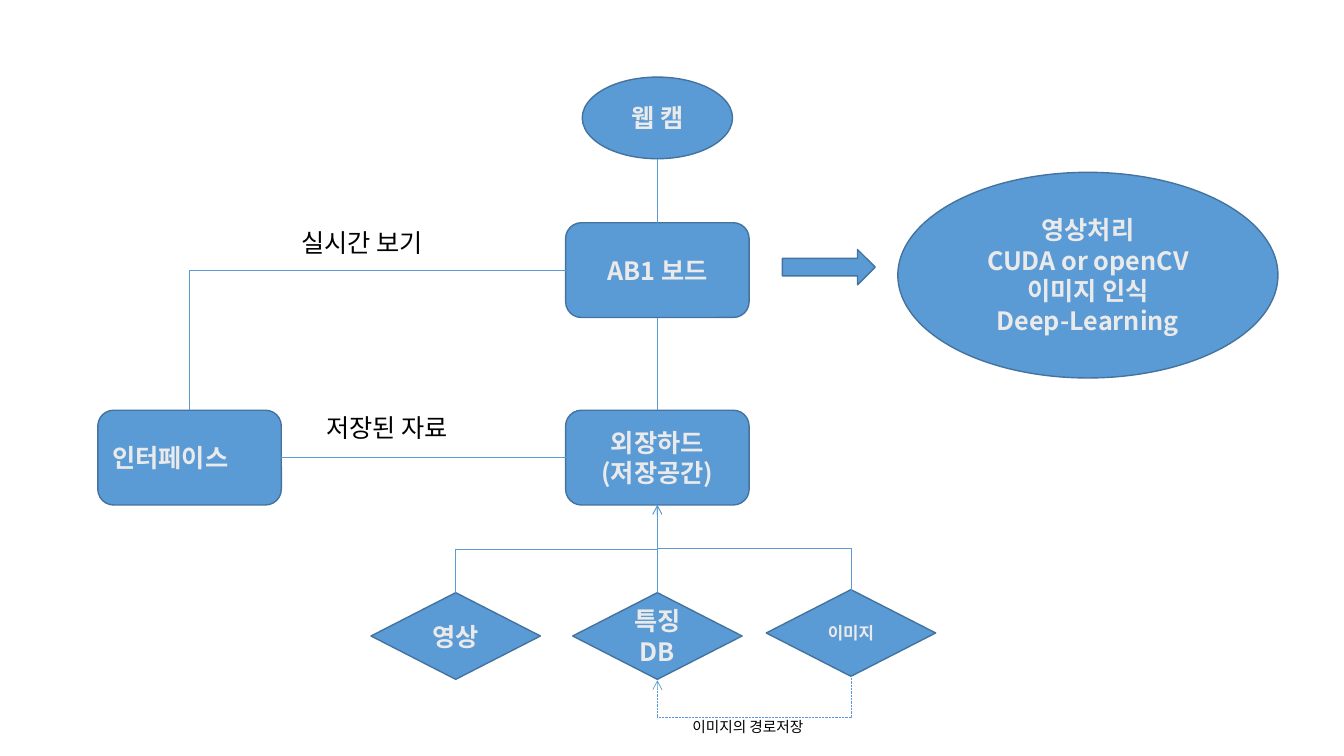
from lxml import etree
from pptx import Presentation
from pptx.dml.color import RGBColor
from pptx.enum.dml import MSO_LINE
from pptx.enum.shapes import MSO_CONNECTOR, MSO_SHAPE
from pptx.enum.text import MSO_ANCHOR, PP_ALIGN
from pptx.oxml.ns import qn
from pptx.util import Inches, Pt

STRAIGHT, ELBOW = MSO_CONNECTOR.STRAIGHT, MSO_CONNECTOR.ELBOW
ROUNDED, ELLIPSE = MSO_SHAPE.ROUNDED_RECTANGLE, MSO_SHAPE.OVAL
DECISION, ARROW = MSO_SHAPE.FLOWCHART_DECISION, MSO_SHAPE.RIGHT_ARROW
LEFT, CENTER = PP_ALIGN.LEFT, PP_ALIGN.CENTER
TOP_ANCHOR, MIDDLE = MSO_ANCHOR.TOP, MSO_ANCHOR.MIDDLE
DOTTED = MSO_LINE.ROUND_DOT
TOP_SIDE, LEFT_SIDE, BOTTOM_SIDE, RIGHT_SIDE = range(4)

FONT = "Noto Sans CJK KR"
COLORS = {"fill": "5B9BD5", "edge": "43739E", "wire": "5B9BD5",
          "light": "EBEAEA", "dark": "000000"}

# Grid: column centres, row centres and node sizes in inches
COLUMNS = {"interface": 1.88, "video": 4.52, "main": 6.52,
           "arrow": 8.22, "image": 8.44, "process": 10.79}
ROWS = {"camera": 1.17, "arrow": 2.65, "board": 2.68, "process": 2.73,
        "storage": 4.54, "image": 6.28, "data": 6.31}
SIZES = {ROUNDED: (1.82, 0.94), DECISION: (1.68, 0.86), ARROW: (0.92, 0.35)}

deck = Presentation()
deck.slide_width, deck.slide_height = Inches(13.33), Inches(7.5)
page = deck.slides.add_slide(deck.slide_layouts[6])


def write(box, lines, size, color, bold, align, anchor):
    frame = box.text_frame
    frame.word_wrap = True
    frame.vertical_anchor = anchor
    for number, line in enumerate(lines):
        para = frame.paragraphs[0] if number == 0 else frame.add_paragraph()
        para.alignment = align
        span = para.add_run()
        span.text = line
        for name, value in {"size": Pt(size), "bold": bold, "name": FONT}.items():
            setattr(span.font, name, value)
        span.font.color.rgb = RGBColor.from_string(COLORS[color])
        etree.SubElement(span.font._element, qn("a:ea"), typeface=FONT)


def style_wire(wire, head=False, dash=None):
    wire.line.color.rgb = RGBColor.from_string(COLORS["wire"])
    wire.line.width = Pt(0.5)
    if dash:
        wire.line.dash_style = dash
    if head:
        etree.SubElement(wire.line._get_or_add_ln(), qn("a:tailEnd"), type="arrow")
    etree.SubElement(wire._element.spPr, qn("a:effectLst"))


# Nodes: key, shape, column, row, size, lines, text size, alignment
nodes = {}
for key, kind, column, row, size, lines, points, align in [
    ("interface", ROUNDED, "interface", "storage", None, ["인터페이스"], 18, LEFT),
    ("board", ROUNDED, "main", "board", None, ["AB1 보드"], 18, CENTER),
    ("storage", ROUNDED, "main", "storage", None, ["외장하드", "(저장공간)"], 18, CENTER),
    ("camera", ELLIPSE, "main", "camera", (1.49, 0.81), ["웹 캠"], 18, CENTER),
    ("video", DECISION, "video", "data", None, ["영상"], 18, CENTER),
    ("features", DECISION, "main", "data", None, ["특징DB"], 18, CENTER),
    ("image", DECISION, "image", "image", None, ["이미지"], 12, CENTER),
    ("arrow", ARROW, "arrow", "arrow", None, [], 18, CENTER),
    ("process", ELLIPSE, "process", "process", (3.77, 2.04),
     ["영상처리", "CUDA or openCV", "이미지 인식", "Deep-Learning"], 18, CENTER),
]:
    width, height = size or SIZES[kind]
    box = page.shapes.add_shape(
        kind, Inches(COLUMNS[column] - width / 2), Inches(ROWS[row] - height / 2),
        Inches(width), Inches(height))
    box.shadow.inherit = False
    box.fill.solid()
    box.fill.fore_color.rgb = RGBColor.from_string(COLORS["fill"])
    box.line.color.rgb = RGBColor.from_string(COLORS["edge"])
    box.line.width = Pt(1)
    write(box, lines, points, "light", True, align, MIDDLE)
    nodes[key] = box

# Straight wires; the camera end is placed by its coordinates
camera = nodes["camera"]
for start, start_side, end, end_side, head in [
    ("camera", None, "board", TOP_SIDE, False),
    ("storage", TOP_SIDE, "board", BOTTOM_SIDE, False),
    ("interface", RIGHT_SIDE, "storage", LEFT_SIDE, False),
    ("features", TOP_SIDE, "storage", BOTTOM_SIDE, True),
]:
    x, y = Inches(COLUMNS["main"]), camera.top + camera.height
    wire = page.shapes.add_connector(STRAIGHT, x, y, x, y)
    if start_side is not None:
        wire.begin_connect(nodes[start], start_side)
    wire.end_connect(nodes[end], end_side)
    style_wire(wire, head)

# Elbow wires leave vertically, so their frame is turned by 90 degrees
for x1, y1, x2, y2, turn, head, dash in [
    (COLUMNS["main"], 5.02, COLUMNS["image"], 5.86, 5.44, False, None),
    (COLUMNS["interface"], 4.07, 5.61, ROWS["board"], None, False, None),
    (COLUMNS["image"], 6.71, COLUMNS["main"], 6.75, 7.12, True, DOTTED),
    (COLUMNS["video"], 5.88, COLUMNS["main"], 5.01, 5.45, True, None),
]:
    middle_x, middle_y = (x1 + x2) / 2, (y1 + y2) / 2
    half_run, half_rise = abs(y2 - y1) / 2, abs(x2 - x1) / 2
    wire = page.shapes.add_connector(
        ELBOW, Inches(middle_x - half_run), Inches(middle_y - half_rise),
        Inches(middle_x + half_run), Inches(middle_y + half_rise))
    frame = wire._element.spPr.find(qn("a:xfrm"))
    frame.set("rot", "5400000")
    frame.set("flipH", str(int(y2 < y1)))
    frame.set("flipV", str(int(x2 > x1)))
    geometry = wire._element.spPr.find(qn("a:prstGeom"))
    if turn is None:
        geometry.set("prst", "bentConnector2")
    else:
        share = round((turn - y1) / (y2 - y1) * 100000)
        etree.SubElement(geometry.find(qn("a:avLst")), qn("a:gd"),
                         name="adj1", fmla=f"val {share}")
    style_wire(wire, head, dash)

# Wire labels
for left, top, width, height, label, points in [
    (2.89, 2.21, 1.82, 0.4, "실시간 보기", 18),
    (3.14, 4.04, 1.8, 0.4, "저장된 자료", 18),
    (6.77, 7.07, 1.66, 0.28, "이미지의 경로저장", 10.5),
]:
    box = page.shapes.add_textbox(*map(Inches, (left, top, width, height)))
    write(box, [label], points, "dark", False, LEFT, TOP_ANCHOR)

deck.save("out.pptx")
